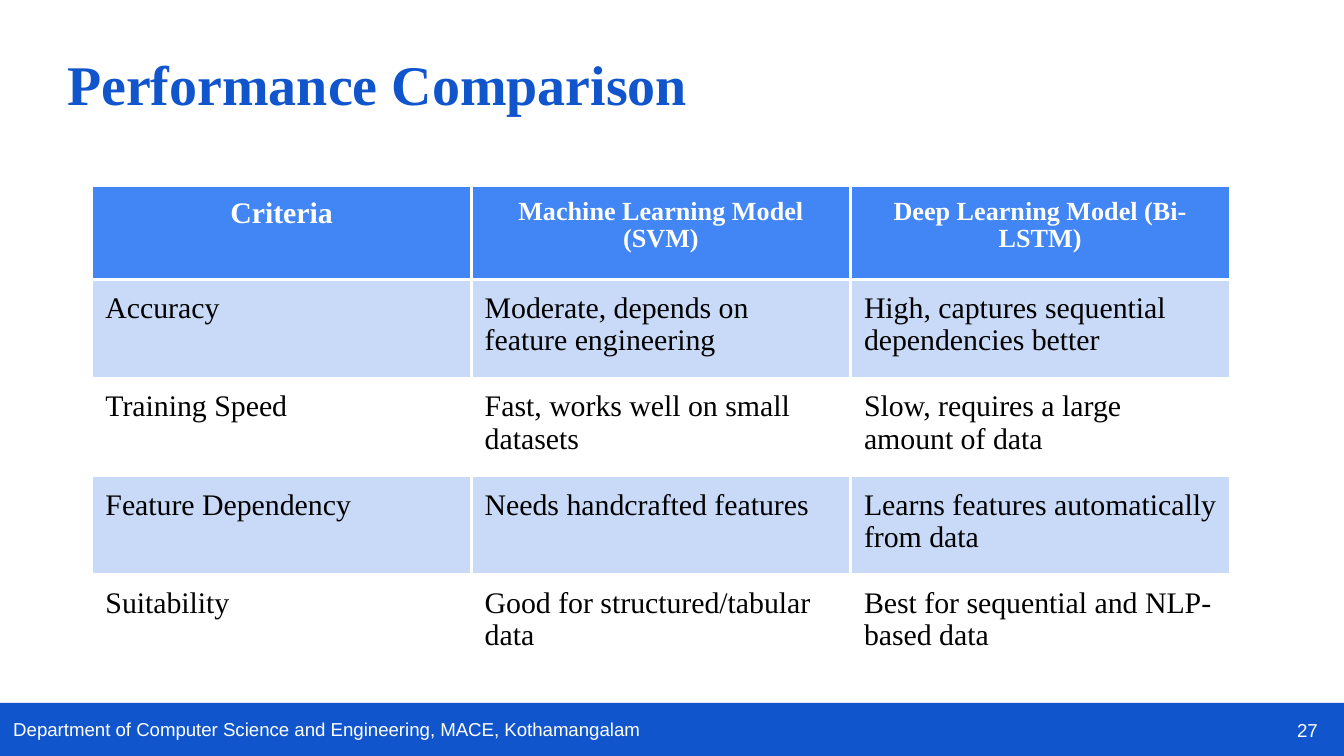
from dataclasses import dataclass

import pptx
import pptx.dml.color
import pptx.enum.shapes
import pptx.enum.text
import pptx.oxml
import pptx.oxml.ns
import pptx.util

Pt = pptx.util.Pt
Align = pptx.enum.text.PP_ALIGN
Anchor = pptx.enum.text.MSO_ANCHOR


@dataclass(frozen=True)
class Theme:
    blue: str = "1155CC"
    header_fill: str = "4285F4"
    band_fill: str = "C9DAF8"
    white: str = "FFFFFF"
    black: str = "000000"
    serif: str = "Times New Roman"
    sans: str = "Arial"
    title_size: int = 30
    body_size: int = 16
    header_size: int = 14
    footer_size: int = 10
    inset: float = 7.2
    border: float = 1.5


THEME = Theme()

HEADERS = ["Criteria", "Machine Learning Model (SVM)", "Deep Learning Model (Bi-LSTM)"]
ROWS = [
    ["Accuracy", "Moderate, depends on feature engineering",
     "High, captures sequential dependencies better"],
    ["Training Speed", "Fast, works well on small datasets",
     "Slow, requires a large amount of data"],
    ["Feature Dependency", "Needs handcrafted features",
     "Learns features automatically from data"],
    ["Suitability", "Good for structured/tabular data",
     "Best for sequential and NLP-based data"],
]


def rgb(color):
    return pptx.dml.color.RGBColor.from_string(color)


def write_text(target, text, size, color, font_name, bold=False, align=Align.LEFT, spacing=1.0):
    """Fill the first paragraph of a text frame and format it."""
    target.text = text
    paragraph = target.paragraphs[0]
    paragraph.alignment = align
    paragraph.line_spacing = spacing
    font = paragraph.font
    font.name = font_name
    font.size = Pt(size)
    font.bold = bold
    font.color.rgb = rgb(color)


def set_insets(target):
    """Give a text frame or a table cell the same margin on every side."""
    target.margin_left = target.margin_right = Pt(THEME.inset)
    target.margin_top = target.margin_bottom = Pt(THEME.inset)


def set_title(slide, text):
    title = slide.shapes.title
    title.left, title.top, title.width, title.height = Pt(28.8), Pt(19.4), Pt(453.6), Pt(51)
    frame = title.text_frame
    set_insets(frame)
    frame.word_wrap = True
    frame.auto_size = pptx.enum.text.MSO_AUTO_SIZE.NONE
    frame.vertical_anchor = Anchor.TOP
    write_text(frame, text, THEME.title_size, THEME.blue, THEME.serif, bold=True)


def add_bar(slide, top, width, height):
    bar = slide.shapes.add_shape(
        pptx.enum.shapes.MSO_SHAPE.RECTANGLE, 0, Pt(top), Pt(width), Pt(height))
    bar.shadow.inherit = False
    bar.fill.solid()
    bar.fill.fore_color.rgb = rgb(THEME.blue)
    bar.line.fill.background()


def add_footer_text(slide, text, left, top, width, height, anchor, align):
    box = slide.shapes.add_textbox(Pt(left), Pt(top), Pt(width), Pt(height))
    frame = box.text_frame
    set_insets(frame)
    frame.word_wrap = True
    frame.vertical_anchor = anchor
    write_text(frame, text, THEME.footer_size, THEME.white, THEME.sans, align=align)


def add_borders(cell):
    properties = cell._tc.get_or_add_tcPr()
    for side in ("lnL", "lnR", "lnT", "lnB"):
        properties.append(pptx.oxml.parse_xml(
            f'<a:{side} {pptx.oxml.ns.nsdecls("a")} w="{Pt(THEME.border)}">'
            f'<a:solidFill><a:srgbClr val="{THEME.white}"/></a:solidFill></a:{side}>'))


def format_cell(cell, fill):
    set_insets(cell)
    add_borders(cell)
    if fill:
        cell.fill.solid()
        cell.fill.fore_color.rgb = rgb(fill)
    else:
        cell.fill.background()


def add_comparison_table(slide, left, top, width, header_height, row_height):
    height = header_height + row_height * len(ROWS)
    table = slide.shapes.add_table(
        len(ROWS) + 1, len(HEADERS), Pt(left), Pt(top), Pt(width), Pt(height)).table
    table.horz_banding = False
    for column in table.columns:
        column.width = Pt(width / len(HEADERS))
    for index, row in enumerate(table.rows):
        row.height = Pt(row_height if index else header_height)

    for index, text in enumerate(HEADERS):
        cell = table.cell(0, index)
        format_cell(cell, THEME.header_fill)
        size = THEME.header_size if index else THEME.body_size
        write_text(cell.text_frame, text, size, THEME.white, THEME.serif,
                   bold=True, align=Align.CENTER, spacing=0.93)

    for row_index, texts in enumerate(ROWS, start=1):
        for column_index, text in enumerate(texts):
            cell = table.cell(row_index, column_index)
            format_cell(cell, THEME.band_fill if row_index % 2 else None)
            write_text(cell.text_frame, text, THEME.body_size, THEME.black,
                       THEME.serif, spacing=0.97)


def main():
    presentation = pptx.Presentation()
    presentation.slide_width, presentation.slide_height = Pt(720), Pt(405)
    slide = presentation.slides.add_slide(presentation.slide_layouts[5])

    add_bar(slide, 376.5, 720, 28.5)
    add_footer_text(slide, "Department of Computer Science and Engineering, MACE, Kothamangalam",
                    0, 378.5, 538.5, 26.5, Anchor.TOP, Align.LEFT)
    add_footer_text(slide, "27", 670, 375.5, 43, 31, Anchor.MIDDLE, Align.RIGHT)
    set_title(slide, "Performance Comparison")
    add_comparison_table(slide, 49.3, 99.5, 609.6, 50.2, 52.7)

    presentation.save("out.pptx")


if __name__ == "__main__":
    main()
